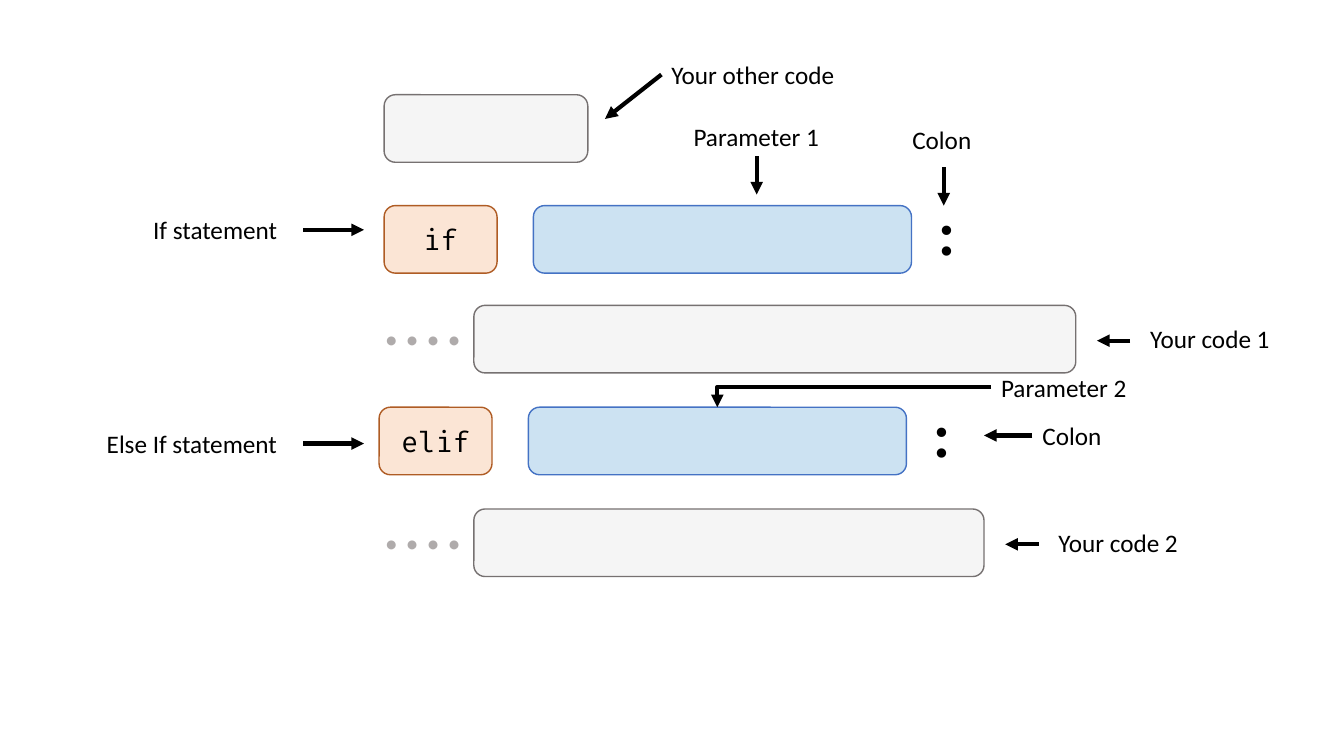
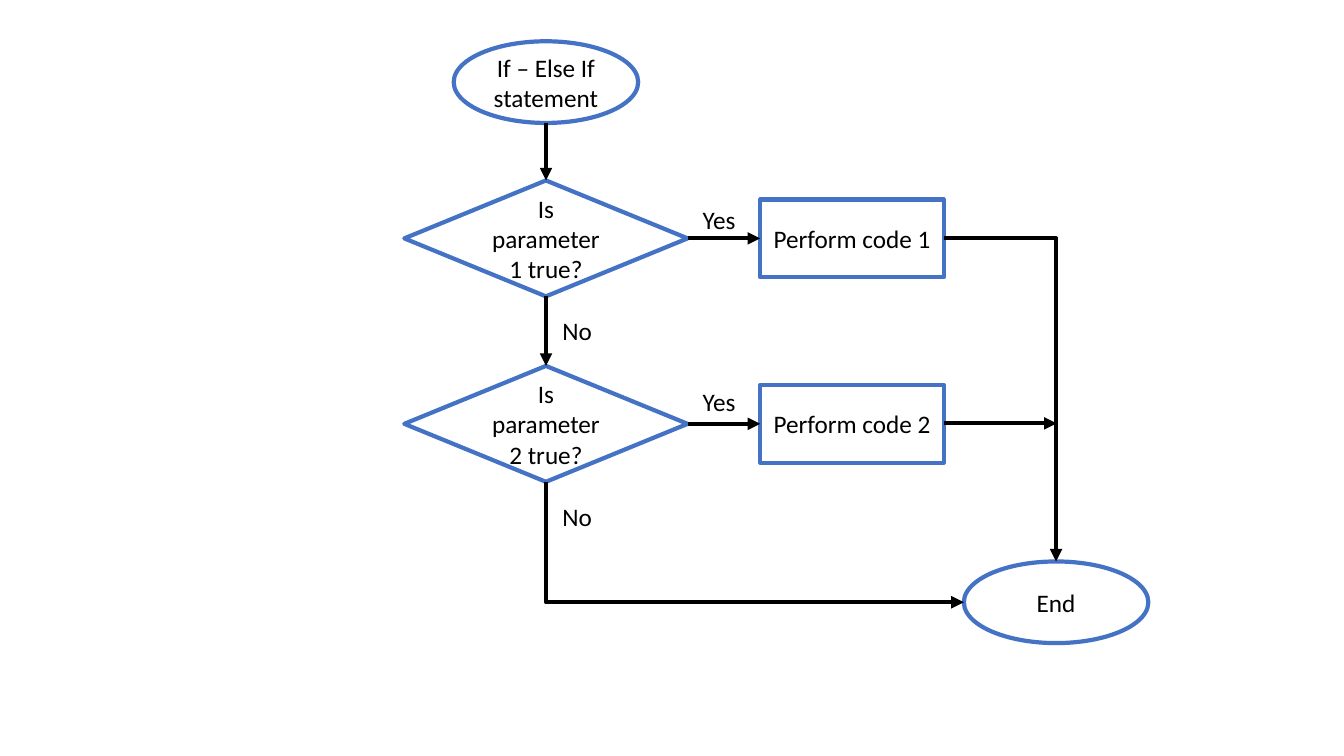
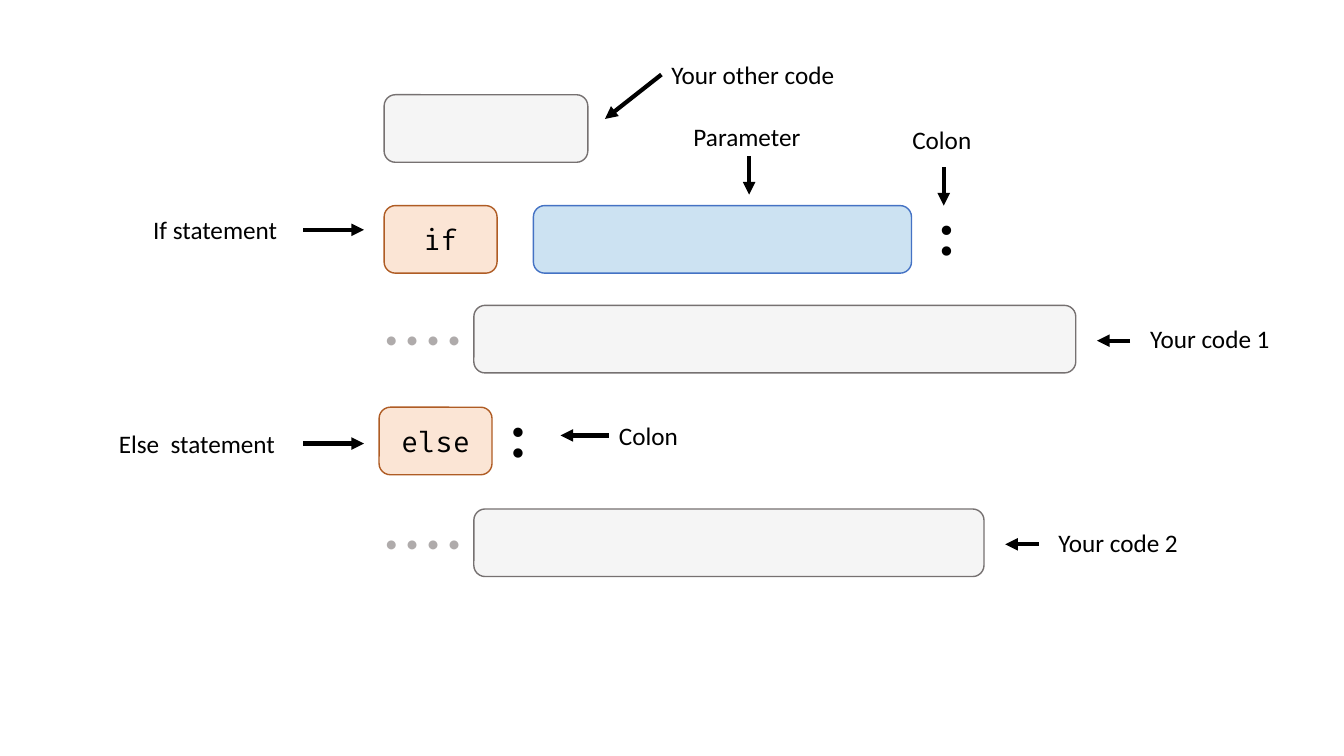
import pptx
import pptx.dml.color
import pptx.enum.shapes
import pptx.enum.text
import pptx.oxml
import pptx.oxml.ns
import pptx.util
from lxml import etree

Inches = pptx.util.Inches
Pt = pptx.util.Pt
SHAPE = pptx.enum.shapes.MSO_SHAPE
CONNECTOR = pptx.enum.shapes.MSO_CONNECTOR
qn = pptx.oxml.ns.qn

COLORS = {
    "text": "000000",
    "dots": "AFABAB",
    "keyword": "ED7D31",
    "keyword_edge": "AF5C24",
    "parameter": "0070C0",
    "blue_edge": "4472C4",
    "code": "D0CECE",
    "code_edge": "767171",
}
SIDES = {"top": (0, 0.5, 0), "left": (1, 0, 0.5), "bottom": (2, 0.5, 1), "right": (3, 1, 0.5)}
BODY_FONT = "Calibri"
CODE_FONT = "Fira Code"
BLOCK_HEIGHT = 0.67
LABEL_HEIGHT = 0.4


def rgb(name):
    return pptx.dml.color.RGBColor.from_string(COLORS[name])


class Deck:
    def __init__(self):
        self.presentation = pptx.Presentation()
        self.presentation.slide_width = Inches(13.33)
        self.presentation.slide_height = Inches(7.5)

    def new_slide(self):
        self.slide = self.presentation.slides.add_slide(self.presentation.slide_layouts[6])

    def set_text(self, frame, text, size=18, font=BODY_FONT, color="text"):
        frame.word_wrap = True
        paragraph = frame.paragraphs[0]
        paragraph.text = text
        paragraph.font.size = Pt(size)
        paragraph.font.name = font
        paragraph.font.color.rgb = rgb(color)
        return paragraph

    def label(self, left, top, width, text, height=LABEL_HEIGHT, **style):
        box = self.slide.shapes.add_textbox(Inches(left), Inches(top), Inches(width), Inches(height))
        self.set_text(box.text_frame, text, **style)
        box.text_frame.auto_size = pptx.enum.text.MSO_AUTO_SIZE.SHAPE_TO_FIT_TEXT
        return box

    def shape(self, kind, left, top, width, height, edge, weight, text="", **style):
        shape = self.slide.shapes.add_shape(
            kind, Inches(left), Inches(top), Inches(width), Inches(height))
        shape.shadow.inherit = False
        shape.fill.background()
        shape.line.color.rgb = rgb(edge)
        shape.line.width = Pt(weight)
        if text:
            paragraph = self.set_text(shape.text_frame, text, **style)
            paragraph.alignment = pptx.enum.text.PP_ALIGN.CENTER
            shape.text_frame.vertical_anchor = pptx.enum.text.MSO_ANCHOR.MIDDLE
        return shape

    def block(self, left, top, width, role, edge, text=""):
        block = self.shape(SHAPE.ROUNDED_RECTANGLE, left, top, width, BLOCK_HEIGHT, edge, 1,
                           text, size=20, font=CODE_FONT)
        block.fill.solid()
        block.fill.fore_color.rgb = rgb(role)
        tint = block._element.spPr.find(qn("a:solidFill"))[0]
        etree.SubElement(tint, qn("a:alpha"), val="20000")
        return block

    def keyword(self, left, top, text):
        self.block(left, top, 1.12, "keyword", "keyword_edge", text)

    def parameter(self, left, top):
        return self.block(left, top, 3.75, "parameter", "blue_edge")

    def code(self, left, top, width):
        self.block(left, top, width, "code", "code_edge")

    def colon(self, left, row):
        self.label(left, row - 0.11, 0.69, ":", height=0.77, size=40, font=CODE_FONT)

    def indent_dots(self, row):
        dots = self.label(3.72, row + 0.13, 1.28, "••••", color="dots")
        run = dots.text_frame.paragraphs[0].runs[0]
        run._r.get_or_add_rPr().set("spc", "600")

    def flow(self, kind, left, top, width, height, text):
        return self.shape(kind, left, top, width, height, "blue_edge", 3, text)

    def connector(self, kind, start, end):
        connector = self.slide.shapes.add_connector(kind, *map(int, start + end))
        connector.line.color.rgb = rgb("text")
        connector.line.width = Pt(3)
        properties = connector._element.spPr
        etree.SubElement(properties.find(qn("a:ln")), qn("a:tailEnd"), type="triangle")
        etree.SubElement(properties, qn("a:effectLst"))
        return connector

    def arrow(self, x1, y1, x2, y2):
        self.connector(CONNECTOR.STRAIGHT, (Inches(x1), Inches(y1)), (Inches(x2), Inches(y2)))

    def link(self, source, source_side, target, target_side, bent=False):
        ends = []
        for shape, side in ((source, source_side), (target, target_side)):
            _, across, down = SIDES[side]
            ends.append((shape.left + shape.width * across, shape.top + shape.height * down))
        start, end = ends
        down_first = bent and source_side == "bottom"
        if down_first:
            middle = ((start[0] + end[0]) / 2, (start[1] + end[1]) / 2)
            half = ((end[0] - start[0]) / 2, (end[1] - start[1]) / 2)
            start = (middle[0] + half[1], middle[1] - half[0])
            end = (middle[0] - half[1], middle[1] + half[0])
        connector = self.connector(CONNECTOR.ELBOW if bent else CONNECTOR.STRAIGHT, start, end)
        properties = connector._element.spPr
        if bent:
            properties.find(qn("a:prstGeom")).set("prst", "bentConnector2")
        if down_first:
            properties.find(qn("a:xfrm")).set("rot", "16200000")
        joints = connector._element.nvCxnSpPr.cNvCxnSpPr
        for tag, shape, side in (("a:stCxn", source, source_side), ("a:endCxn", target, target_side)):
            site = SIDES[side][0]
            if shape.shape_type != pptx.enum.shapes.MSO_SHAPE_TYPE.TEXT_BOX \
                    and shape.auto_shape_type == SHAPE.OVAL:
                site *= 2
            etree.SubElement(joints, qn(tag), id=str(shape.shape_id), idx=str(site))


def syntax_slide(deck, parameter, parameter_width, keyword, statement, statement_left, colon_left):
    deck.new_slide()
    if_row, code_1_row, else_row, code_2_row = 2.04, 3.03, 4.04, 5.05

    deck.code(3.81, 0.94, 2.02)
    deck.label(6.56, 0.54, 1.98, "Your other code")
    deck.arrow(6.56, 0.74, 6, 1.18)

    deck.label(1.42, 2.08, 2.02, "If statement")
    deck.arrow(3.01, 2.28, 3.61, 2.28)
    deck.keyword(3.81, if_row, "if")
    deck.parameter(5.29, if_row)
    deck.colon(9.12, if_row)
    deck.label(6.78, 1.15, parameter_width, parameter)
    parameter_middle = 6.78 + parameter_width / 2
    deck.arrow(parameter_middle, 1.55, parameter_middle, 1.93)
    deck.label(8.95, 1.18, 0.86, "Colon")
    deck.arrow(9.36, 1.66, 9.36, 2.04)

    for row, width, text in ((code_1_row, 5.97, "Your code 1"), (code_2_row, 5.06, "Your code 2")):
        right = 4.7 + width
        deck.code(4.7, row, width)
        deck.indent_dots(row)
        deck.label(right + 0.64, row + 0.13, 1.67, text)
        deck.arrow(right + 0.54, row + 0.35, right + 0.21, row + 0.35)

    deck.label(statement_left, 4.2, 3.44 - statement_left, statement)
    deck.arrow(3.01, 4.4, 3.61, 4.4)
    deck.keyword(3.76, else_row, keyword)
    deck.colon(colon_left, else_row)
    colon_label = colon_left + 1.17
    deck.label(colon_label, 4.12, 0.86, "Colon")
    deck.arrow(colon_label, 4.32, colon_label - 0.48, 4.32)


def flowchart_slide(deck):
    deck.new_slide()
    start = deck.flow(SHAPE.OVAL, 4.5, 0.41, 1.83, 0.81, "If – Else If statement")
    end = deck.flow(SHAPE.OVAL, 9.56, 5.57, 1.83, 0.81, "End")
    decisions, actions = [], []
    for number, top, yes_top in ((1, 1.79, 1.98), (2, 3.63, 3.78)):
        decision = deck.flow(SHAPE.FLOWCHART_DECISION, 4.01, top, 2.81, 1.15,
                             f"Is parameter {number} true?")
        action = deck.flow(SHAPE.RECTANGLE, 7.54, top + 0.19, 1.82, 0.77, f"Perform code {number}")
        deck.link(decision, "right", action, "left")
        deck.label(6.87, yes_top, 0.63, "Yes")
        deck.label(5.48, top + 1.29, 0.63, "No")
        decisions.append(decision)
        actions.append(action)
    deck.link(start, "bottom", decisions[0], "top")
    deck.link(decisions[0], "bottom", decisions[1], "top")
    deck.link(decisions[1], "bottom", end, "left", bent=True)
    deck.link(actions[0], "right", end, "top", bent=True)
    deck.arrow(9.36, 4.2, 10.48, 4.2)


deck = Deck()

syntax_slide(deck, "Parameter 1", 1.45, "elif", "Else If statement", 0.96, 9.07)
second_parameter = deck.parameter(5.24, 4.04)
second_label = deck.label(9.83, 3.64, 1.45, "Parameter 2")
deck.link(second_label, "left", second_parameter, "top", bent=True)

flowchart_slide(deck)

syntax_slide(deck, "Parameter", 1.3, "else", "Else  statement", 1.08, 4.87)

deck.presentation.save("out.pptx")
